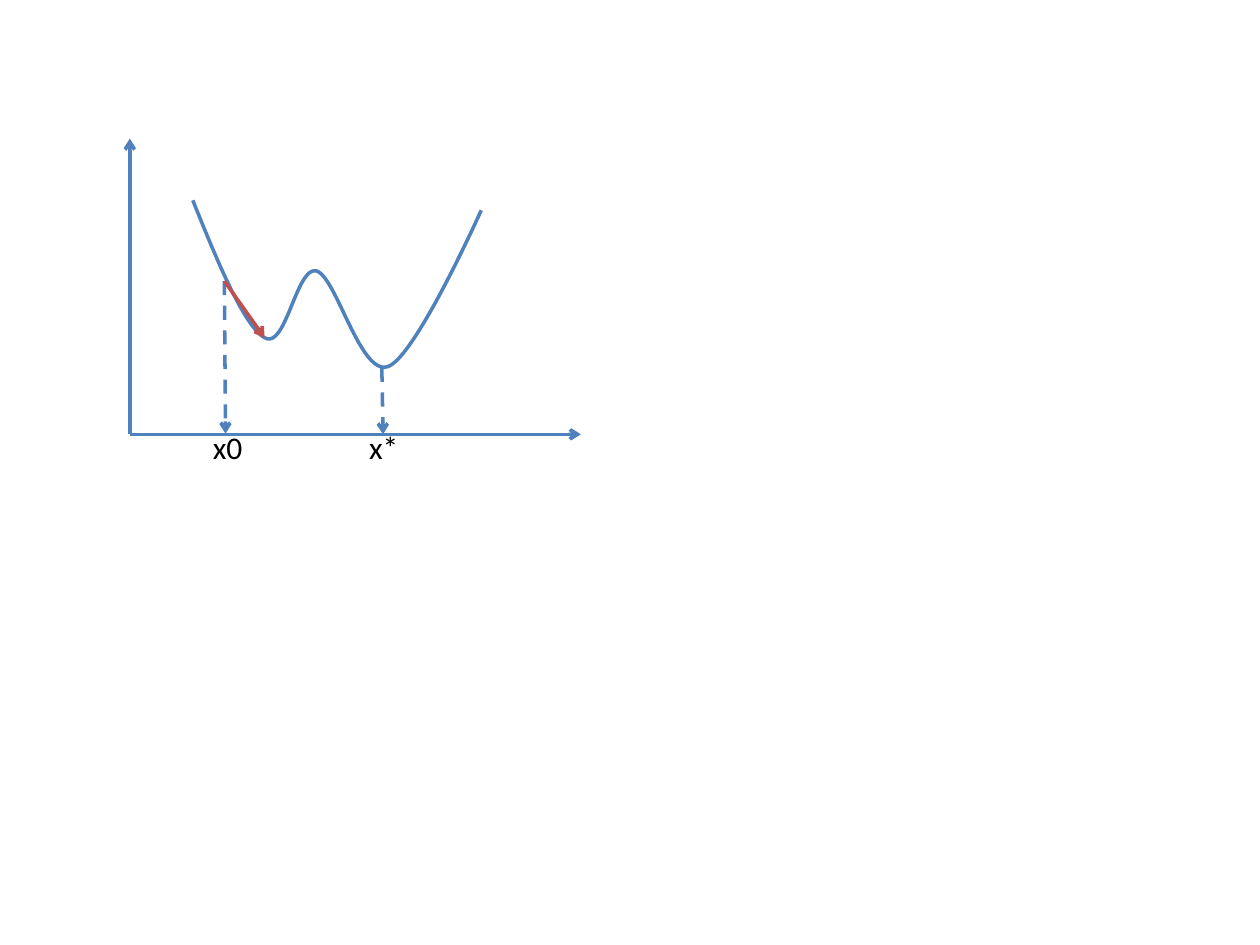
from lxml import etree
from pptx import Presentation
from pptx import util as u
from pptx.dml.color import RGBColor
from pptx.enum import dml, text
from pptx.oxml.ns import qn

COLORS = {"blue": "4F81BD", "red": "C0504D", "black": "000000"}
LINE_WIDTH = 2
CURVE_STEPS = 24  # straight pieces per Bezier segment

# Plot geometry in points
ORIGIN = (74.2, 248.2)
Y_AXIS_TOP = (74.2, 79.2)
X_AXIS_END = (331.9, 248.2)
START_POINT = (128.2, 160.6)
LOCAL_MINIMUM = (151.2, 193)
GLOBAL_MINIMUM = (218.2, 210.2)
CURVE_START = (110.2, 114.5)
CURVE_SEGMENTS = [  # two control points and an end point
    ((124.6, 150.5), (139.7, 186.5), (151.2, 193)),
    ((163.4, 200.2), (169.2, 152.6), (180.7, 154.8)),
    ((192.2, 157.7), (205.9, 215.3), (221.8, 209.5)),
    ((237.6, 203.8), (275, 120.2), (275, 120.2)),
]


def style_line(line, color):
    line.color.rgb = RGBColor.from_string(COLORS[color])
    line.width = u.Pt(LINE_WIDTH)


def bezier_point(points, t):
    weights = ((1 - t) ** 3, 3 * t * (1 - t) ** 2, 3 * t * t * (1 - t), t ** 3)
    return tuple(
        u.Pt(sum(weight * point[axis] for weight, point in zip(weights, points)))
        for axis in (0, 1)
    )


def add_curve(shapes, start, segments, color):
    builder = shapes.build_freeform(u.Pt(start[0]), u.Pt(start[1]))
    vertices = []
    for segment in segments:
        points = (start, *segment)
        vertices += [bezier_point(points, step / CURVE_STEPS)
                     for step in range(1, CURVE_STEPS + 1)]
        start = segment[-1]
    builder.add_line_segments(vertices, close=False)
    curve = builder.convert_to_shape()
    curve.shadow.inherit = False
    curve.fill.background()
    style_line(curve.line, color)


def add_arrow(shapes, start, end, color="blue", dashed=False):
    arrow = shapes.add_connector(1, *(u.Pt(value) for value in (*start, *end)))
    style_line(arrow.line, color)
    if dashed:
        arrow.line.dash_style = dml.MSO_LINE.DASH
    properties = arrow._element.spPr
    line = properties.find(qn("a:ln"))
    etree.SubElement(line, qn("a:tailEnd"), type="arrow")
    etree.SubElement(properties, qn("a:effectLst"))


def add_label(shapes, left, top, caption):
    label = shapes.add_textbox(u.Pt(left), u.Pt(top), u.Pt(72.7), u.Pt(29.1))
    frame = label.text_frame
    frame.word_wrap = True
    frame.auto_size = text.MSO_AUTO_SIZE.SHAPE_TO_FIT_TEXT
    frame.text = caption
    font = frame.paragraphs[0].runs[0].font
    font.name = "Calibri"
    font.size = u.Pt(18)
    font.color.rgb = RGBColor.from_string(COLORS["black"])


def main():
    presentation = Presentation()
    presentation.slide_width = u.Pt(720)
    presentation.slide_height = u.Pt(540)
    slide = presentation.slides.add_slide(presentation.slide_layouts[6])
    shapes = slide.shapes.add_group_shape().shapes

    # Function curve and axes
    add_curve(shapes, CURVE_START, CURVE_SEGMENTS, "blue")
    add_arrow(shapes, ORIGIN, Y_AXIS_TOP)
    add_arrow(shapes, ORIGIN, X_AXIS_END)

    # Starting point and descent step
    add_arrow(shapes, START_POINT, (128.9, 247.8), dashed=True)
    add_arrow(shapes, START_POINT, LOCAL_MINIMUM, "red")
    add_label(shapes, 114.5, 241.2, "x0")

    # Global minimum
    add_arrow(shapes, GLOBAL_MINIMUM, (218.9, 248.2), dashed=True)
    add_label(shapes, 203.8, 241.2, "x*")

    presentation.save("out.pptx")


main()
